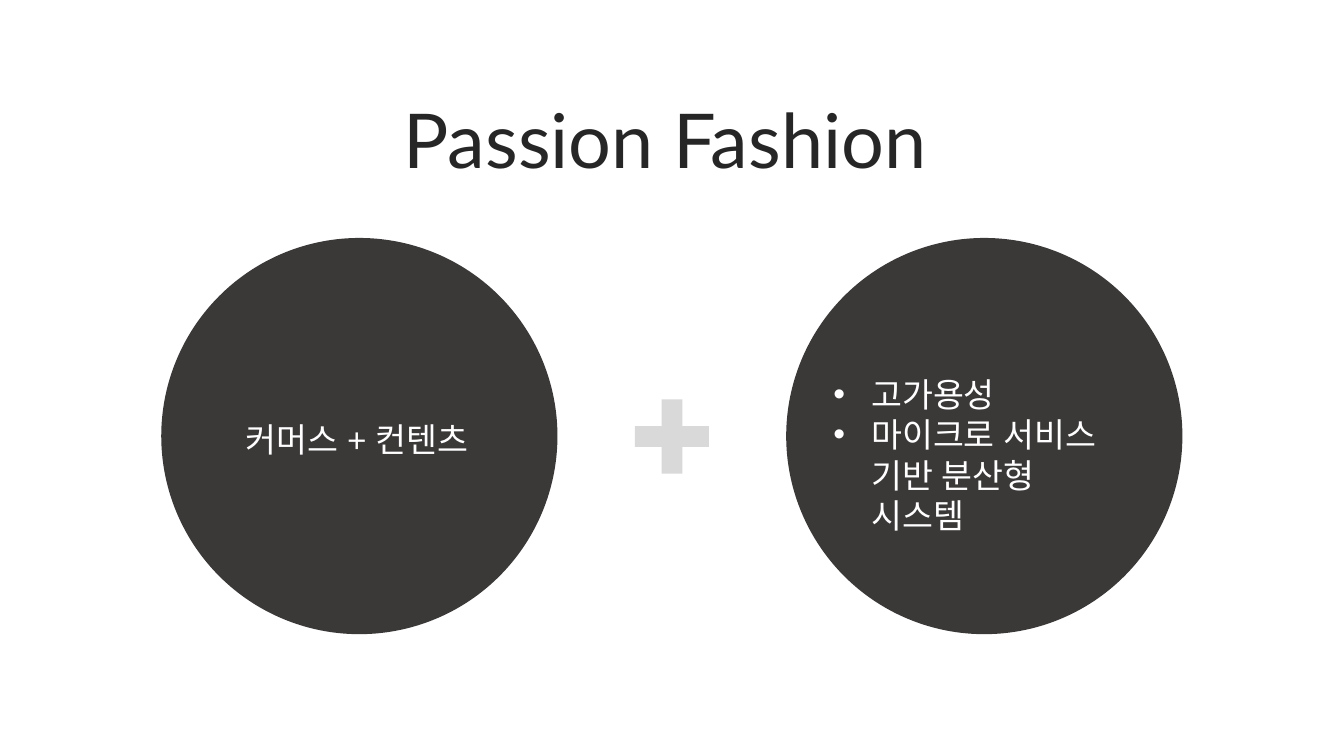
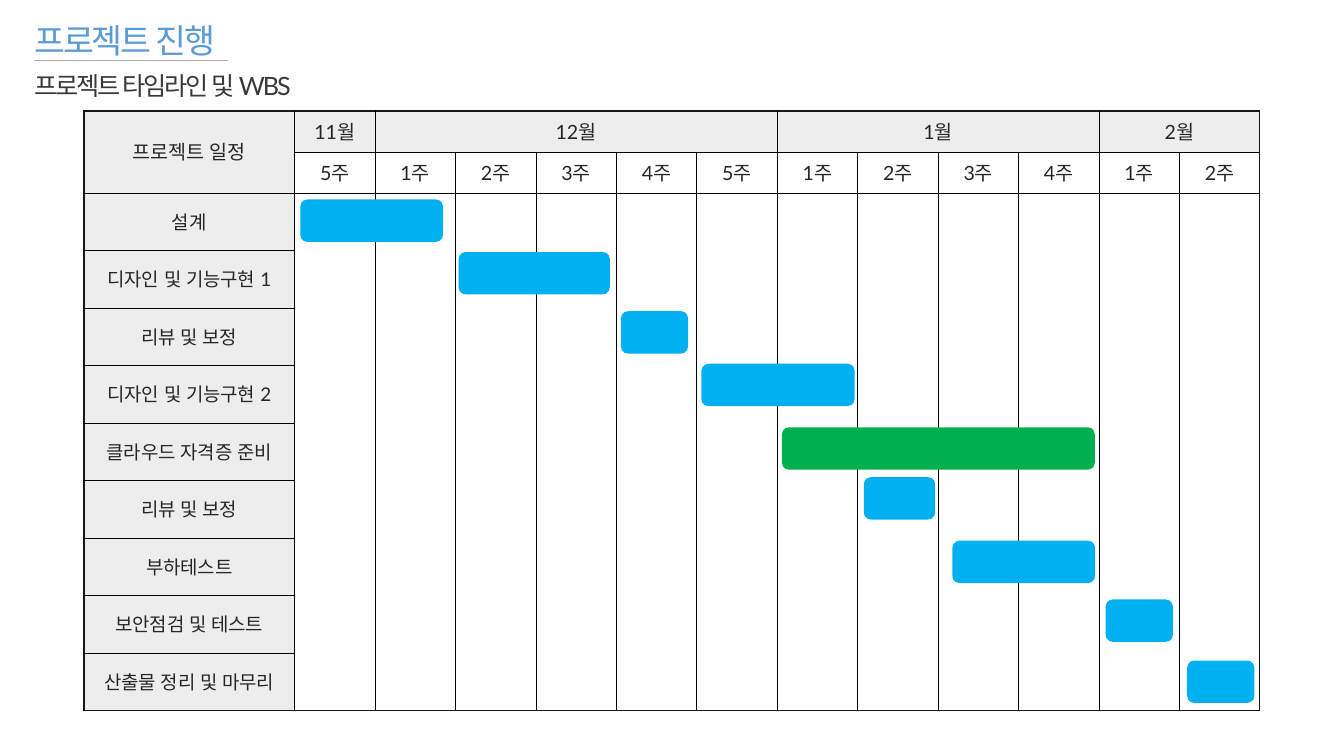
"""Build a project concept slide and a project timeline slide."""
from lxml.etree import SubElement
from pptx import Presentation
from pptx.dml.color import RGBColor
from pptx.enum.shapes import MSO_CONNECTOR, MSO_SHAPE as SHAPE
from pptx.enum.text import MSO_ANCHOR as ANCHOR, MSO_AUTO_SIZE as AUTO, PP_ALIGN as ALIGN
from pptx.oxml.ns import qn
from pptx.util import Pt

FONT = "Lato"
WHITE, INK, CHARCOAL, BLACK = "FFFFFF", "262626", "3B3838", "000000"
EDGE, HEAD, TITLE_BLUE = "181717", "EDEDED", "5B9BD5"
BAR, BAR_EXAM = "00B0F0", "00B050"
rgb = RGBColor.from_string


def add_run(p, text, size, color, spacing=0):
    r = p.add_run()
    r.text = text
    r.font.size = Pt(size)
    r.font.color.rgb = rgb(color)
    r.font.name = FONT
    rPr = r._r.get_or_add_rPr()
    SubElement(rPr, qn("a:ea"), typeface=FONT)
    if spacing:
        rPr.set("spc", str(int(spacing * 100)))


def add_block(s, kind, left, top, width, height, color):
    sp = s.shapes.add_shape(kind, Pt(left), Pt(top), Pt(width), Pt(height))
    sp.shadow.inherit = False
    sp.fill.solid()
    sp.fill.fore_color.rgb = rgb(color)
    sp.line.fill.background()
    return sp


prs = Presentation()
prs.slide_width, prs.slide_height = Pt(960), Pt(540)

slides = []
for text, box, size, color, align, spacing in [
    ("Passion Fashion", (201, 62, 548, 73), 54, INK, ALIGN.CENTER, 0),
    ("프로젝트 진행", (17.3, 18, 260, 21), 24, TITLE_BLUE, ALIGN.LEFT, -1.5),
]:
    s = prs.slides.add_slide(prs.slide_layouts[5])
    title = s.shapes.title
    title.left, title.top, title.width, title.height = map(Pt, box)
    tf = title.text_frame
    tf.auto_size = AUTO.NONE
    tf.vertical_anchor = ANCHOR.MIDDLE
    p = tf.paragraphs[0]
    p.alignment = align
    add_run(p, text, size, color, spacing)
    slides.append(s)
concept, timeline = slides

for left in (115.2, 561.6):
    add_block(concept, SHAPE.OVAL, left, 170, 283, 283, CHARCOAL)
plus = add_block(concept, SHAPE.MATH_PLUS, 444, 275.8, 72, 72, "D9D9D9")
plus.adjustments[0] = 0.207

for s, box, paragraphs, size, color, align, bullet, spacing in [
    (concept, (160, 296, 190, 36), ["커머스 + 컨텐츠"], 24, WHITE, ALIGN.CENTER, False, 0),
    (concept, (588.2, 263.5, 226, 94), ["고가용성", "마이크로 서비스\n기반 분산형 시스템"],
     24, WHITE, ALIGN.LEFT, True, 0),
    (timeline, (17.3, 46.8, 278, 29), ["프로젝트 타임라인 및 WBS"],
     18, CHARCOAL, ALIGN.LEFT, False, -1.5),
]:
    tf = s.shapes.add_textbox(*map(Pt, box)).text_frame
    tf.word_wrap = True
    for i, text in enumerate(paragraphs):
        p = tf.add_paragraph() if i else tf.paragraphs[0]
        p.alignment = align
        if bullet:
            pPr = p._p.get_or_add_pPr()
            pPr.set("marL", str(Pt(27)))
            pPr.set("indent", str(-Pt(27)))
            SubElement(pPr, qn("a:buFont"), typeface="Arial")
            SubElement(pPr, qn("a:buChar"), char="•")
        for j, line in enumerate(text.split("\n")):
            if j:
                p.add_line_break()
            add_run(p, line, size, color, spacing)

rule = timeline.shapes.add_connector(MSO_CONNECTOR.STRAIGHT, Pt(24.5), Pt(43.2), Pt(163), Pt(43.2))
rule.line.color.rgb = rgb("AFABAB")
rule.line.width = Pt(1)
SubElement(rule._element.spPr, qn("a:effectLst"))

months = [("11월", [5]), ("12월", [1, 2, 3, 4, 5]), ("1월", [1, 2, 3, 4]), ("2월", [1, 2])]
tasks = ["설계", "디자인 및 기능구현 1", "리뷰 및 보정", "디자인 및 기능구현 2",
         "클라우드 자격증 준비", "리뷰 및 보정", "부하테스트", "보안점검 및 테스트",
         "산출물 정리 및 마무리"]
n_rows, n_cols = 2 + len(tasks), 1 + sum(len(weeks) for _, weeks in months)
tbl = timeline.shapes.add_table(n_rows, n_cols, Pt(60), Pt(79.3), Pt(840), Pt(428.5)).table
for c, col in enumerate(tbl.columns):
    col.width = Pt(57.47 if c else 150.4)
for r, row in enumerate(tbl.rows):
    row.height = Pt(29.3 if r < 2 else 41.1)

texts = {(0, 0): "프로젝트 일정"}
tbl.cell(0, 0).merge(tbl.cell(1, 0))
c = 1
for month, weeks in months:
    texts[0, c] = month
    if len(weeks) > 1:
        tbl.cell(0, c).merge(tbl.cell(0, c + len(weeks) - 1))
    for week in weeks:
        texts[1, c] = f"{week}주"
        c += 1
for r, task in enumerate(tasks, 2):
    texts[r, 0] = task

for r in range(n_rows):
    for c in range(n_cols):
        cell = tbl.cell(r, c)
        cell.fill.solid()
        cell.fill.fore_color.rgb = rgb(HEAD if r == 0 or c == 0 else WHITE)
        if cell.is_spanned:
            continue
        cell.vertical_anchor = ANCHOR.MIDDLE
        if (r, c) in texts:
            p = cell.text_frame.paragraphs[0]
            p.alignment = ALIGN.CENTER
            add_run(p, texts[r, c], 14 if r < 2 else 13.5, INK)
        ruled = r < 2 or c == 0
        last_col = c + (cell.span_width if cell.is_merge_origin else 1) == n_cols
        widths = {
            "L": 1 if c == 0 else 0.5,
            "R": 1 if last_col else 0.5,
            "T": 1 if r == 0 else 0.5 if ruled or r == 2 else 0,
            "B": 1 if r == n_rows - 1 else 0.5 if ruled else 0,
        }
        tcPr = cell._tc.get_or_add_tcPr()
        for i, (side, width) in enumerate(widths.items()):
            ln = SubElement(tcPr, qn(f"a:ln{side}"), w=str(Pt(width)))
            if width:
                fill = SubElement(ln, qn("a:solidFill"))
                SubElement(fill, qn("a:srgbClr"), val=EDGE if width == 1 else BLACK)
            else:
                SubElement(ln, qn("a:noFill"))
            tcPr.insert(i, ln)

for left, top, width, color in [
    (214.5, 142.5, 102, BAR),
    (327.6, 180, 108, BAR),
    (443.5, 222.3, 48, BAR),
    (501, 259.8, 109.5, BAR),
    (558.5, 305.2, 223.5, BAR_EXAM),
    (617, 340.8, 51, BAR),
    (680.3, 386.2, 102, BAR),
    (789.8, 428.2, 48, BAR),
    (848, 471.8, 48, BAR),
]:
    add_block(timeline, SHAPE.ROUNDED_RECTANGLE, left, top, width, 30.3, color)

prs.save("out.pptx")
